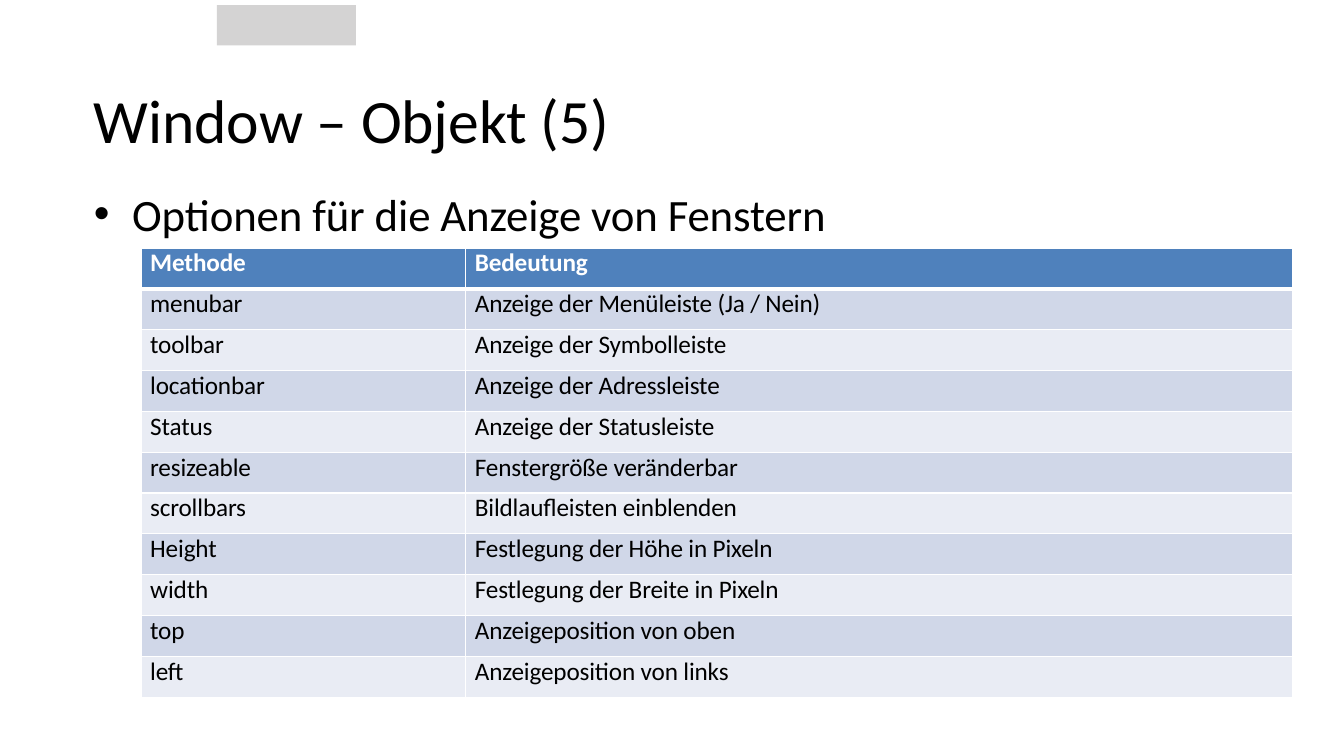
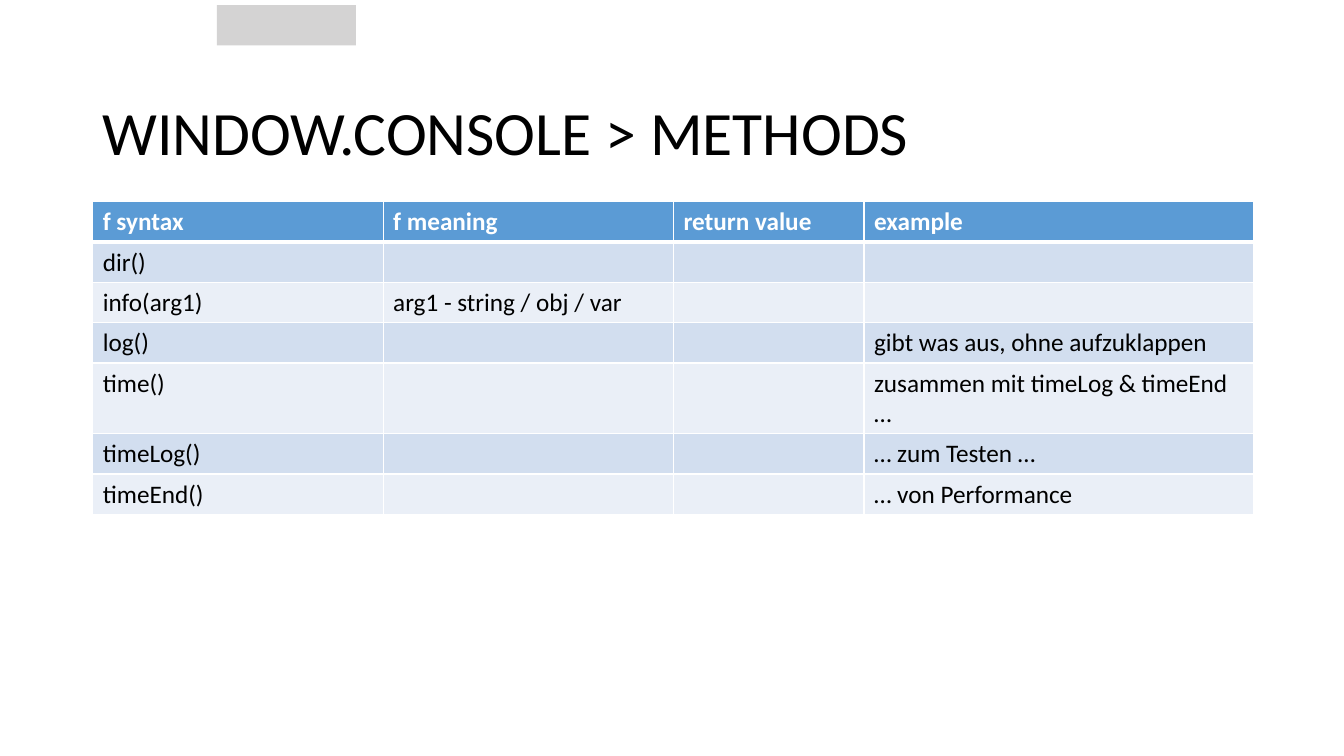
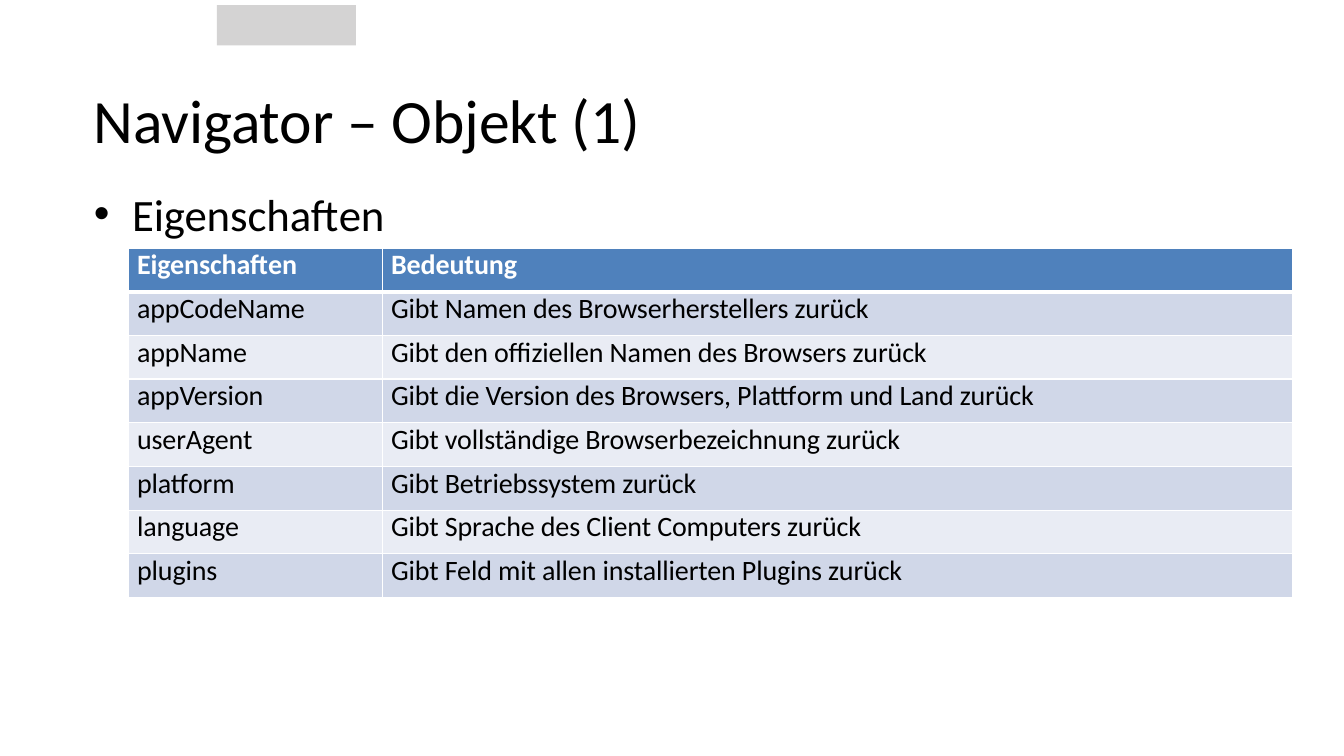
from lxml import etree
from pptx import Presentation
from pptx.dml.color import RGBColor
from pptx.enum.shapes import MSO_SHAPE
from pptx.enum.text import MSO_ANCHOR, MSO_AUTO_SIZE
from pptx.oxml.ns import qn
from pptx.util import Inches, Pt

RECTANGLE = MSO_SHAPE.RECTANGLE
MIDDLE = MSO_ANCHOR.MIDDLE
FIT_SHAPE = MSO_AUTO_SIZE.SHAPE_TO_FIT_TEXT

WHITE = RGBColor(0xFF, 0xFF, 0xFF)
BLACK = RGBColor(0x00, 0x00, 0x00)
GREY = RGBColor(0xD4, 0xD3, 0xD3)
STEEL = (RGBColor(0x4F, 0x81, 0xBC), RGBColor(0xD0, 0xD7, 0xE8), RGBColor(0xE9, 0xEC, 0xF4))
SKY = (RGBColor(0x5B, 0x9B, 0xD5), RGBColor(0xD2, 0xDE, 0xEF), RGBColor(0xEA, 0xEF, 0xF7))

FONT = "Calibri"
LEFT = 0.92
TIGHT = -10

WINDOW_OPTIONS = [
    ("Methode", "Bedeutung"),
    ("menubar", "Anzeige der Menüleiste (Ja / Nein)"),
    ("toolbar", "Anzeige der Symbolleiste"),
    ("locationbar", "Anzeige der Adressleiste"),
    ("Status", "Anzeige der Statusleiste"),
    ("resizeable", "Fenstergröße veränderbar"),
    ("scrollbars", "Bildlaufleisten einblenden"),
    ("Height", "Festlegung der Höhe in Pixeln"),
    ("width", "Festlegung der Breite in Pixeln"),
    ("top", "Anzeigeposition von oben"),
    ("left", "Anzeigeposition von links"),
]
CONSOLE_METHODS = [
    ("f syntax", "f meaning", "return value", "example"),
    ("dir()", "", "", ""),
    ("info(arg1)", "arg1 - string / obj / var", "", ""),
    ("log()", "", "", "gibt was aus, ohne aufzuklappen"),
    ("time()", "", "", "zusammen mit timeLog & timeEnd …"),
    ("timeLog()", "", "", "… zum Testen …"),
    ("timeEnd()", "", "", "… von Performance"),
]
NAVIGATOR_PROPERTIES = [
    ("Eigenschaften", "Bedeutung"),
    ("appCodeName", "Gibt Namen des Browserherstellers zurück"),
    ("appName", "Gibt den offiziellen Namen des Browsers zurück"),
    ("appVersion", "Gibt die Version des Browsers, Plattform und Land zurück"),
    ("userAgent", "Gibt vollständige Browserbezeichnung zurück"),
    ("platform", "Gibt Betriebssystem zurück"),
    ("language", "Gibt Sprache des Client Computers zurück"),
    ("plugins", "Gibt Feld mit allen installierten Plugins zurück"),
]


class Deck:
    """Holds the shared style and the current slide."""

    def __init__(self):
        self.prs = Presentation()
        self.prs.slide_width = Inches(13.33)
        self.prs.slide_height = Inches(7.5)
        self.slide = None

    def new_slide(self):
        self.slide = self.prs.slides.add_slide(self.prs.slide_layouts[6])
        band = self.slide.shapes.add_shape(
            RECTANGLE, Inches(2.15), Inches(0.05), Inches(1.38), Inches(0.4))
        band.shadow.inherit = False
        band.fill.solid()
        band.fill.fore_color.rgb = GREY
        band.line.fill.background()

    def style(self, paragraph, size, color=BLACK, bold=False, spacing=0):
        for run in paragraph.runs:
            run.font.name = FONT
            run.font.size = Pt(size)
            run.font.bold = bold
            run.font.color.rgb = color
            run._r.get_or_add_rPr().set("spc", str(spacing))

    def text(self, wording, top, width, height, size, margins=(0, 0, 0, 0), spacing=TIGHT):
        box = self.slide.shapes.add_textbox(
            Inches(LEFT), Inches(top), Inches(width), Inches(height))
        frame = box.text_frame
        frame.word_wrap = True
        (frame.margin_left, frame.margin_top,
         frame.margin_right, frame.margin_bottom) = map(Inches, margins)
        frame.text = wording
        self.style(frame.paragraphs[0], size, spacing=spacing)
        return frame

    def title(self, wording, margins=(0.01, 0, 0, 0), spacing=TIGHT, line_spacing=1.0):
        frame = self.text(wording, 0.5, 11.5, 1.35, 44, margins, spacing)
        frame.vertical_anchor = MIDDLE
        frame.paragraphs[0].line_spacing = line_spacing

    def bullet(self, wording, width):
        frame = self.text(wording, 1.85, width, 0.57, 32)
        frame.auto_size = FIT_SHAPE
        properties = frame.paragraphs[0]._p.get_or_add_pPr()
        properties.set("marL", str(Inches(0.39)))
        properties.set("indent", str(Inches(-0.38)))
        etree.SubElement(properties, qn("a:buFont")).set("typeface", "Arial")
        etree.SubElement(properties, qn("a:buChar")).set("char", "•")

    def borders(self, cell, top, bottom):
        properties = cell._tc.get_or_add_tcPr()
        for side, width in (("L", 1), ("R", 1), ("T", top), ("B", bottom)):
            line = etree.SubElement(properties, qn(f"a:ln{side}"), w=str(Pt(width)))
            fill = etree.SubElement(line, qn("a:solidFill"))
            etree.SubElement(fill, qn("a:srgbClr"), val=str(WHITE))

    def table(self, rows, left, top, widths, row_height, size, palette, compact=False):
        table = self.slide.shapes.add_table(
            len(rows), len(widths), Inches(left), Inches(top),
            Inches(sum(widths)), Inches(row_height * len(rows))).table
        for column, width in zip(table.columns, widths):
            column.width = Inches(width)
        for r, wordings in enumerate(rows):
            table.rows[r].height = Inches(row_height)
            header = r == 0
            fill = palette[0] if header else palette[2 - r % 2]
            for c, wording in enumerate(wordings):
                cell = table.cell(r, c)
                self.borders(cell, 3 if r == 1 else 1, 3 if header else 1)
                cell.fill.solid()
                cell.fill.fore_color.rgb = fill
                cell.text_frame.text = wording
                paragraph = cell.text_frame.paragraphs[0]
                if compact:
                    cell.margin_left = Inches(0.09)
                    cell.margin_top = cell.margin_right = cell.margin_bottom = 0
                    paragraph.space_before = Pt(0.9 if r == 1 else 1.9)
                self.style(paragraph, size, WHITE if header else BLACK, header,
                           TIGHT if compact else 0)


def main():
    deck = Deck()

    deck.new_slide()
    deck.title("Window – Objekt (5)")
    deck.bullet("Optionen für die Anzeige von Fenstern", 7.35)
    deck.table(WINDOW_OPTIONS, 1.4, 2.46, (3.22, 8.2), 4.46 / 11, 18, STEEL, compact=True)

    deck.new_slide()
    deck.title("WINDOW.CONSOLE > METHODS", (0.1, 0.39, 0.1, 0.05), 0, 0.9)
    deck.table(CONSOLE_METHODS, LEFT, 2, (2.88, 2.88, 1.89, 3.86), 0.4, 18, SKY)

    deck.new_slide()
    deck.title("Navigator – Objekt (1)")
    deck.bullet("Eigenschaften", 2.93)
    deck.table(NAVIGATOR_PROPERTIES, 1.27, 2.46, (2.52, 9.03), 3.47 / 8, 20, STEEL, compact=True)

    deck.prs.save("out.pptx")


if __name__ == "__main__":
    main()
